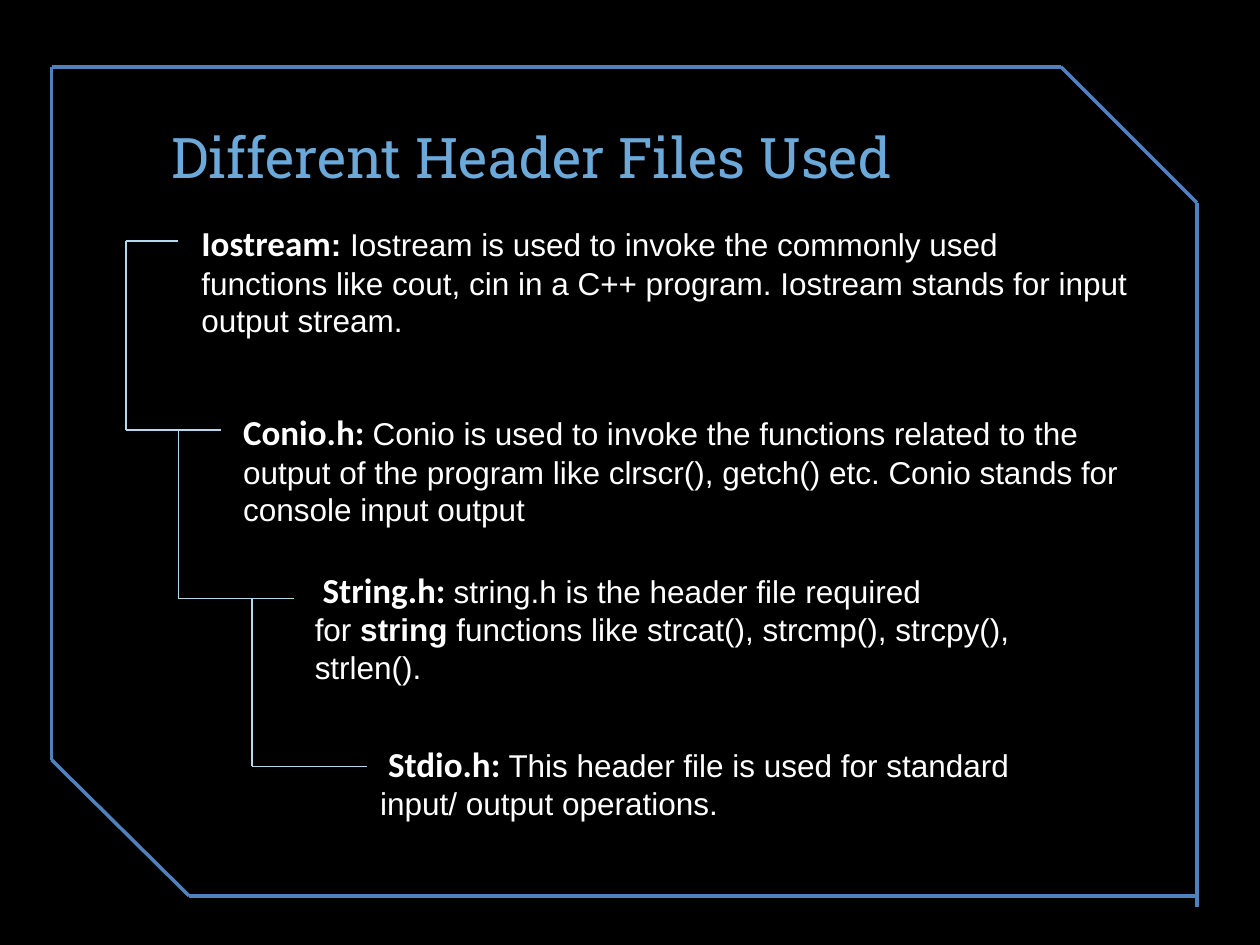
from itertools import pairwise
from lxml.etree import SubElement
from pptx import Presentation
from pptx.dml.color import RGBColor
from pptx.enum.shapes import MSO_CONNECTOR
from pptx.enum.text import MSO_ANCHOR, PP_ALIGN
from pptx.oxml.ns import qn
from pptx.util import Pt

THEME = {
    "back": "000000", "title": "6BA9DA", "text": "FFFFFF",
    "frame": "4F81BD", "branch": "B7D7EB",
    "title_font": "Roboto Slab", "name_font": "Calibri", "body_font": "Arial",
    "title_size": 32, "name_size": 20, "body_size": 18,
    "frame_width": 2, "branch_width": 1,
}

# Content: box (left, top, width, height) and runs (text, style, bold)
TITLE = ("Different Header Files Used", (90.7, 66.2, 459.4, 46.1))
HEADERS = [
    ((108, 123.1, 545.8, 74.9), [
        ("Iostream", "name", True), (": ", "body", True),
        ("Iostream is used to invoke the commonly used functions like cout, cin "
         "in a C++ program. Iostream stands for input output stream.", "body", False)]),
    ((131.8, 231.1, 533.5, 74.9), [
        ("Conio.h: ", "name", True),
        ("Conio is used to invoke the functions related to the output of the program "
         "like clrscr(), getch() etc. Conio stands for console input output", "body", False)]),
    ((172.8, 321.1, 463.7, 74.9), [
        (" ", "name", False), ("String.h: ", "name", True),
        ("string.h\u00a0is the header file required for\u00a0", "body", False),
        ("string", "body", True),
        ("\u00a0functions like strcat(), strcmp(), strcpy(), strlen().", "body", False)]),
    ((210.2, 420.5, 419.8, 53.3), [
        (" ", "name", False), ("Stdio.h: ", "name", True),
        ("This header file is used for standard input/ output operations.", "body", False)]),
]

# Corner points of the frame and of the stepped branches
FRAME = [(684, 518.4), (684, 115.9), (606.2, 38.2), (29.5, 38.2),
         (29.5, 434.2), (108, 511.9), (684, 511.9)]
BRANCHES = [
    [(102, 137.8), (72, 137.8), (72, 245.8), (126, 245.8)],
    [(102, 245.8), (102, 342), (168, 342)],
    [(144, 342), (144, 438), (210, 438)],
]


def color(key):
    return RGBColor.from_string(THEME[key])


def draw_path(s, points, style):
    for start, end in pairwise(points):
        line = s.shapes.add_connector(
            MSO_CONNECTOR.STRAIGHT, *(Pt(v) for v in start + end))
        line.line.color.rgb = color(style)
        line.line.width = Pt(THEME[style + "_width"])
        SubElement(line._element.spPr, qn("a:effectLst"))


def set_font(font, style, key="text"):
    font.name = THEME[style + "_font"]
    font.size = Pt(THEME[style + "_size"])
    font.color.rgb = color(key)


prs = Presentation()
prs.slide_width, prs.slide_height = Pt(720), Pt(540)
s = prs.slides.add_slide(prs.slide_layouts[5])
s.background.fill.solid()
s.background.fill.fore_color.rgb = color("back")

# Branches
for points in BRANCHES:
    draw_path(s, points, "branch")

# Title
text, box = TITLE
title = s.shapes.title
title.left, title.top, title.width, title.height = (Pt(v) for v in box)
tf = title.text_frame
tf.text = text
tf.vertical_anchor = MSO_ANCHOR.MIDDLE
p = tf.paragraphs[0]
p.alignment = PP_ALIGN.LEFT
set_font(p.font, "title", "title")

# Header descriptions
for box, runs in HEADERS:
    tf = s.shapes.add_textbox(*(Pt(v) for v in box)).text_frame
    tf.word_wrap = True
    p = tf.paragraphs[0]
    for text, style, bold in runs:
        r = p.add_run()
        r.text = text
        r.font.bold = bold
        set_font(r.font, style)

# Frame
draw_path(s, FRAME, "frame")

prs.save("out.pptx")
